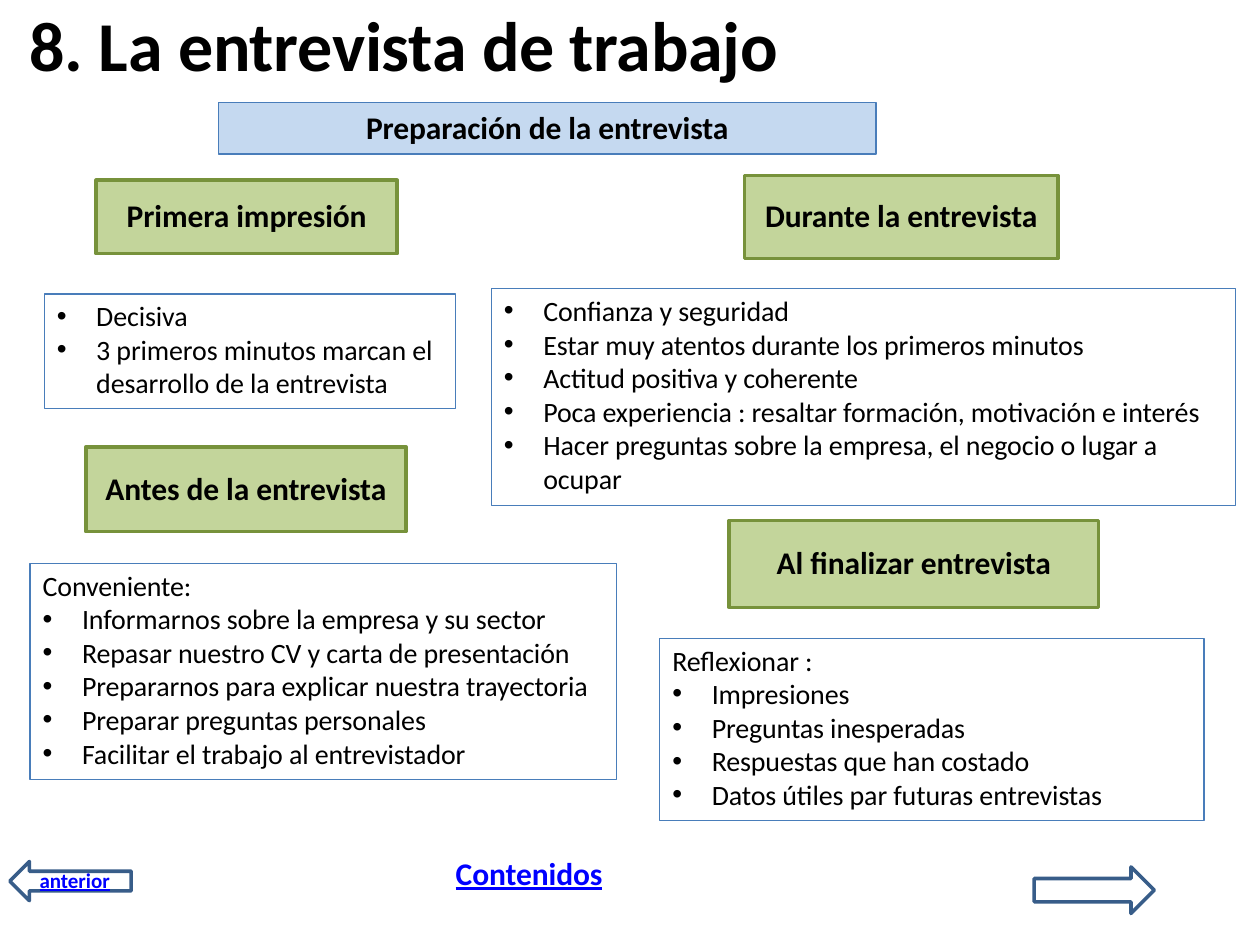
from pptx import Presentation
from pptx.dml.color import RGBColor
from pptx.enum.shapes import MSO_SHAPE as Form
from pptx.enum.text import MSO_ANCHOR as Anchor, MSO_AUTO_SIZE as Fit, PP_ALIGN as Align
from pptx.oxml.ns import qn
from pptx.util import Pt
from lxml.etree import SubElement

COLORS = {
    "text": "000000", "link": "0000FF",
    "head": "C3D59B", "edge": "77923B",
    "banner": "C5D9F0", "frame": "497DBA", "arrow": "385D89",
}
FONT = "Calibri"


def color(name):
    return RGBColor.from_string(COLORS[name])


def write(para, text, size=16, ink="text", bold=False, under=False,
          align=Align.LEFT, left=0, hang=0, bullet=False, line=None, track=-0.07):
    """Fill a paragraph; left, hang, line and track are in points."""
    props = para._p.get_or_add_pPr()
    props.set("marL", str(Pt(left)))
    props.set("indent", str(Pt(-hang)))
    if bullet:
        SubElement(props, qn("a:buFont"), typeface="Arial")
        SubElement(props, qn("a:buChar"), char="•")
    else:
        SubElement(props, qn("a:buNone"))
    para.alignment = align
    para.space_before = Pt(0)
    if line:
        para.line_spacing = Pt(line)
    run = para.add_run()
    run.text = text
    run.font.name, run.font.size = FONT, Pt(size)
    run.font.bold, run.font.underline = bold, under
    run.font.color.rgb = color(ink)
    run._r.get_or_add_rPr().set("spc", str(round(track * 100)))


class Page:
    """One slide and the style of its elements."""

    def __init__(self, deck):
        self.slide = deck.slides.add_slide(deck.slide_layouts[5])
        self.shapes = self.slide.shapes

    def frame(self, shape, top=0, bottom=0, anchor=Anchor.TOP):
        """Set up the text frame of a shape with no side margins."""
        frame = shape.text_frame
        frame.word_wrap, frame.auto_size = True, Fit.NONE
        frame.margin_left = frame.margin_right = 0
        frame.margin_top, frame.margin_bottom = Pt(top), Pt(bottom)
        frame.vertical_anchor = anchor
        return frame

    def title(self, box, text):
        shape = self.shapes.title
        shape.left, shape.top, shape.width, shape.height = map(Pt, box)
        write(self.frame(shape, 1).paragraphs[0], text, size=40, bold=True,
              track=-0.15)

    def shape(self, form, box, fill, edge, weight):
        shape = self.shapes.add_shape(form, *map(Pt, box))
        shape.shadow.inherit = False
        if fill:
            shape.fill.solid()
            shape.fill.fore_color.rgb = color(fill)
        else:
            shape.fill.background()
        shape.line.color.rgb = color(edge)
        shape.line.width = Pt(weight)
        return shape

    def head(self, box, text, fill="head", edge="edge", weight=2.04):
        shape = self.shape(Form.RECTANGLE, box, fill, edge, weight)
        frame = self.frame(shape, bottom=2, anchor=Anchor.MIDDLE)
        write(frame.paragraphs[0], text, size=18, bold=True, align=Align.CENTER)

    def points(self, box, items, lead=None):
        """Draw a framed bullet list, with an optional lead line."""
        shape = self.shape(Form.RECTANGLE, box, None, "frame", 0.72)
        frame = self.frame(shape, 2.7)
        para = frame.paragraphs[0]
        if lead:
            write(para, lead, left=7.2)
            para = frame.add_paragraph()
        for i, item in enumerate(items):
            if i:
                para = frame.add_paragraph()
            write(para, item, left=29.7, hang=22.5, bullet=True)

    def arrow(self, form, box):
        self.shape(form, box, None, "arrow", 2.04)

    def label(self, box, text, **style):
        shape = self.shapes.add_textbox(*map(Pt, box))
        write(self.frame(shape).paragraphs[0], text, ink="link", bold=True,
              under=True, **style)


def main():
    deck = Presentation()
    deck.slide_width, deck.slide_height = Pt(720), Pt(540)
    page = Page(deck)

    page.title((17, 0, 440, 50), "8. La entrevista de trabajo")
    page.head((124.8, 58.7, 375.8, 29.3), "Preparación de la entrevista",
              fill="banner", edge="frame", weight=0.72)

    page.head((55, 103, 172, 42), "Primera impresión")
    page.points((25.3, 168, 235, 65.3), [
        "Decisiva",
        "3 primeros minutos marcan el desarrollo de la entrevista",
    ])

    page.head((49, 255.5, 183, 48.3), "Antes de la entrevista")
    page.points((17.2, 322, 335, 123.7), [
        "Informarnos sobre la empresa y su sector",
        "Repasar nuestro CV y carta de presentación",
        "Prepararnos para explicar nuestra trayectoria",
        "Preparar preguntas personales",
        "Facilitar el trabajo al entrevistador",
    ], lead="Conveniente:")

    page.head((425.3, 100.3, 179.3, 47.5), "Durante la entrevista")
    page.points((280.8, 165, 425.3, 123.8), [
        "Confianza y seguridad",
        "Estar muy atentos durante los primeros minutos",
        "Actitud positiva y coherente",
        "Poca experiencia : resaltar formación, motivación e interés",
        "Hacer preguntas sobre la empresa, el negocio o lugar a ocupar",
    ])

    page.head((416.7, 297.4, 211, 49.7), "Al finalizar entrevista")
    page.points((377, 364.8, 311, 104.2), [
        "Impresiones",
        "Preguntas inesperadas",
        "Respuestas que han costado",
        "Datos útiles par futuras entrevistas",
    ], lead="Reflexionar :")

    page.arrow(Form.LEFT_ARROW, (5.6, 492.3, 69.4, 22.4))
    page.arrow(Form.RIGHT_ARROW, (591, 495.4, 68.6, 26.6))
    page.label((260.4, 491.4, 87, 20), "Contenidos", size=18, line=18.1)
    page.label((22.6, 497.5, 43, 14), "anterior", size=12, line=12.4, track=0)

    deck.save("out.pptx")


if __name__ == "__main__":
    main()
